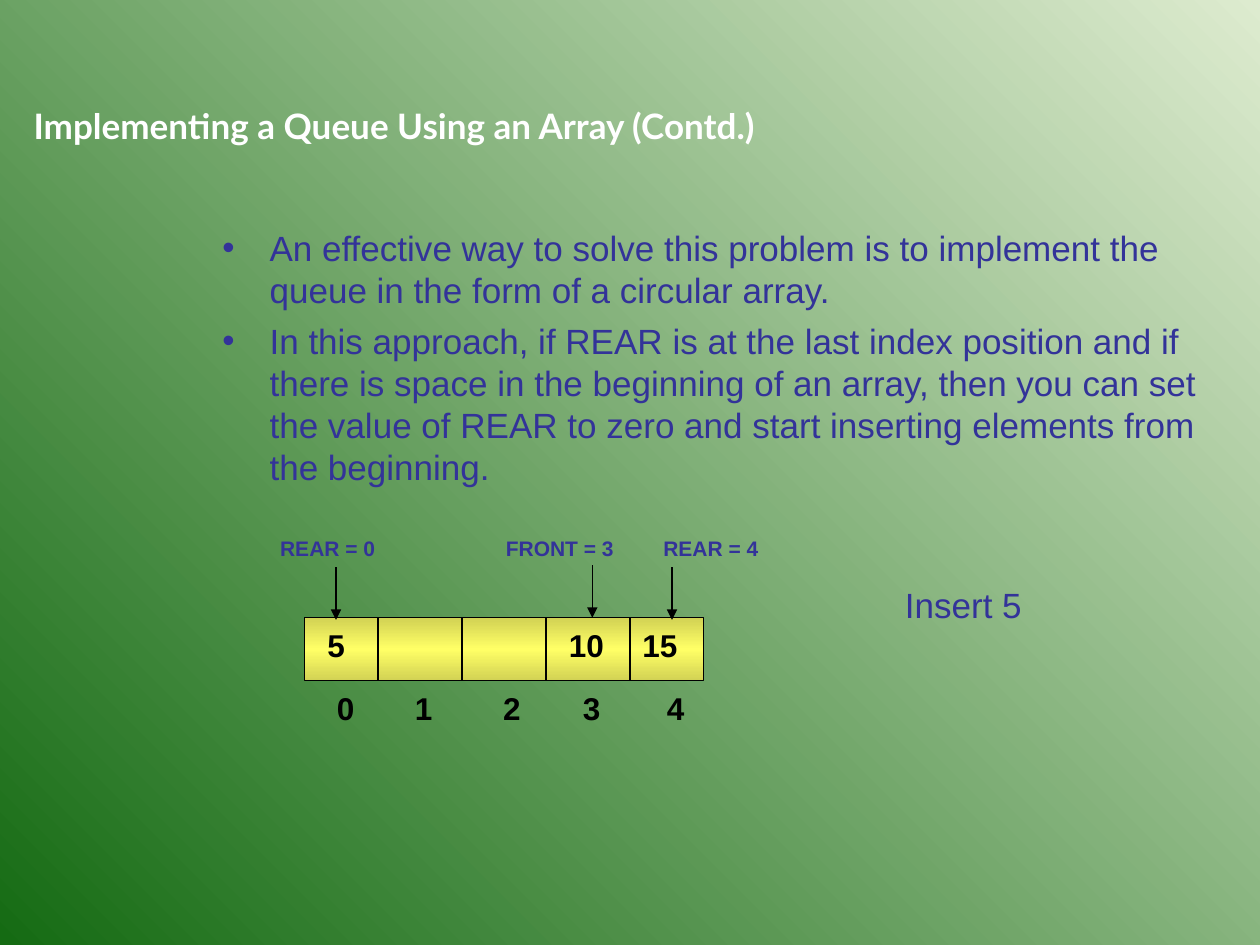
from copy import deepcopy

from lxml.etree import SubElement
from pptx import Presentation
from pptx.dml.color import RGBColor
from pptx.enum.shapes import MSO_CONNECTOR, MSO_SHAPE
from pptx.enum.text import MSO_ANCHOR, MSO_AUTO_SIZE, PP_ALIGN
from pptx.oxml.ns import qn
from pptx.util import Pt

INDIGO = RGBColor(0x33, 0x33, 0x99)
BLACK = RGBColor(0, 0, 0)
WHITE = RGBColor(0xFF, 0xFF, 0xFF)
PALE_GREEN = RGBColor(0xDD, 0xEB, 0xCF)
DARK_GREEN = RGBColor(0x15, 0x6B, 0x13)
OLIVE = RGBColor(0xD2, 0xD2, 0x54)
YELLOW = RGBColor(0xFF, 0xFF, 0x66)

BULLETS = (
    "An effective way to solve this problem is to implement the queue "
    "in the form of a circular array.",
    "In this approach, if REAR is at the last index position and if there is "
    "space in the beginning of an array, then you can set the value of REAR "
    "to zero and start inserting elements from the beginning.",
)


def set_gradient(fill, owner, colors, angle):
    """Spread the colours evenly; the angle runs counter-clockwise."""
    fill.gradient()
    fill.gradient_angle = angle
    stop_list = next(owner.iter(qn("a:gsLst")))
    while len(stop_list) < len(colors):
        stop_list.append(deepcopy(stop_list[0]))
    for index, (stop, color) in enumerate(zip(fill.gradient_stops, colors)):
        stop.position = index / (len(colors) - 1)
        stop.color.rgb = color


def format_font(paragraph, size, color, bold=False, name="Arial"):
    font = paragraph.font
    font.name, font.size, font.bold = name, Pt(size), bold
    font.color.rgb = color


def add_text(slide, text, left, top, width, height, size, color,
             bold=False, wrap=False):
    shape = slide.shapes.add_textbox(Pt(left), Pt(top), Pt(width), Pt(height))
    text_frame = shape.text_frame
    text_frame.word_wrap = wrap
    text_frame.auto_size = MSO_AUTO_SIZE.SHAPE_TO_FIT_TEXT
    text_frame.text = text
    for paragraph in text_frame.paragraphs:
        format_font(paragraph, size, color, bold)


def add_line(slide, x, top, bottom, arrow=False):
    line = slide.shapes.add_connector(
        MSO_CONNECTOR.STRAIGHT, Pt(x), Pt(top), Pt(x), Pt(bottom))
    line.line.color.rgb = BLACK
    line.line.width = Pt(0.75)
    if arrow:
        SubElement(line.line._get_or_add_ln(), qn("a:tailEnd"), type="triangle")
    SubElement(line._element.spPr, qn("a:effectLst"))


def place_title(slide, left, top, width, height):
    title = slide.shapes.title
    title.left, title.top = Pt(left), Pt(top)
    title.width, title.height = Pt(width), Pt(height)
    text_frame = title.text_frame
    text_frame.text = "Implementing a Queue Using an Array (Contd.)"
    text_frame.auto_size = MSO_AUTO_SIZE.NONE
    text_frame.vertical_anchor = MSO_ANCHOR.TOP
    paragraph = text_frame.paragraphs[0]
    paragraph.alignment = PP_ALIGN.LEFT
    format_font(paragraph, 20, WHITE, bold=True, name="Lato")


def add_bullets(slide, left, top, width, height):
    shape = slide.shapes.add_textbox(Pt(left), Pt(top), Pt(width), Pt(height))
    text_frame = shape.text_frame
    text_frame.word_wrap = True
    text_frame.text = "\n".join(BULLETS)
    for index, paragraph in enumerate(text_frame.paragraphs):
        properties = paragraph._p.get_or_add_pPr()
        properties.set("marL", str(Pt(27)))
        properties.set("indent", str(Pt(-27)))
        SubElement(properties, qn("a:buFont"), typeface="Arial")
        SubElement(properties, qn("a:buChar"), char="•")
        format_font(paragraph, 20, INDIGO)
        if index:
            paragraph.space_before = Pt(5)


def add_queue(slide, left, top, width, height):
    """Draw the array with its pointers above and its indices below."""
    array_top = top + 50.5
    array_left, array_width = left + 21, width - 21 - 38

    # Array cells
    array = slide.shapes.add_shape(
        MSO_SHAPE.RECTANGLE, Pt(array_left), Pt(array_top),
        Pt(array_width), Pt(36))
    array.shadow.inherit = False
    set_gradient(array.fill, array._element, (OLIVE, YELLOW, OLIVE), 270)
    array.line.color.rgb = BLACK
    array.line.width = Pt(0.75)
    for divider in range(4):
        add_line(slide, left + 63 + 48 * divider, array_top, array_top + 36)

    # Pointers: label, label offset and width, arrow offset and drop
    for label, label_x, label_width, arrow_x, drop in (
            ("REAR = 0", 0, 69, 39, 1.2),
            ("FRONT = 3", 129, 77, 185.5, 0),
            ("REAR = 4", 219, 69, 231, 1.2)):
        add_text(slide, label, left + label_x, top, label_width, 21.5,
                 12, INDIGO, bold=True)
        add_line(slide, left + arrow_x, array_top - 30 + drop,
                 array_top + drop, arrow=True)

    # Stored values, then indices
    values = (("5", 27), ("10", 165), ("15", 207))
    indices = (("0", 32.5), ("1", 77), ("2", 127.5), ("3", 173), ("4", 221))
    for row, row_top in ((values, array_top + 1),
                         (indices, top + height - 29)):
        for text, offset in row:
            add_text(slide, text, left + offset, row_top,
                     14.5 + 10 * len(text), 29, 18, BLACK, bold=True)


def main():
    presentation = Presentation()
    presentation.slide_width, presentation.slide_height = Pt(720), Pt(540)
    slide = presentation.slides.add_slide(presentation.slide_layouts[5])
    set_gradient(slide.background.fill, slide._element,
                 (PALE_GREEN, DARK_GREEN), 225)
    place_title(slide, 12, 56, 564, 31.5)
    add_bullets(slide, 120, 126, 576, 360)
    add_queue(slide, 153, 302.5, 287, 116.5)
    add_text(slide, "Insert 5", 510, 330, 168, 31.5, 20, INDIGO, wrap=True)
    presentation.save("out.pptx")


if __name__ == "__main__":
    main()
